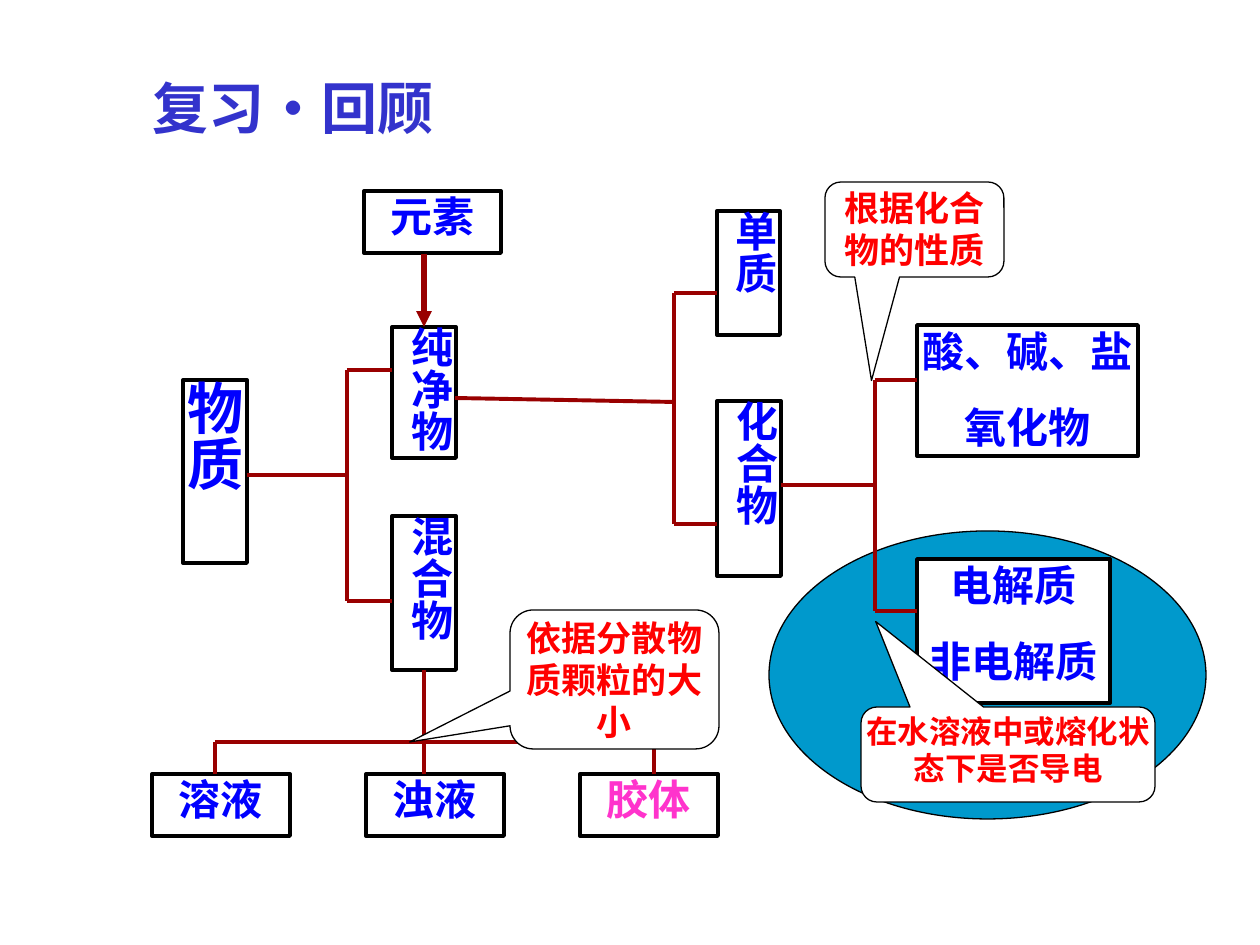
import lxml.etree
import pptx
import pptx.dml.color
import pptx.enum.shapes
import pptx.enum.text
import pptx.oxml.ns
import pptx.util
from dataclasses import dataclass

EMU_PER_PX = 914400 / 126
TRUNK_HEIGHT = 231
SHAPES = pptx.enum.shapes.MSO_SHAPE


@dataclass(frozen=True)
class Theme:
    heading: str = "3333CC"
    text: str = "0000FF"
    highlight: str = "FF33CC"
    note: str = "FF0000"
    border: str = "000000"
    paper: str = "FFFFFF"
    ellipse: str = "0099CC"
    branch: str = "990000"
    font: str = "Times New Roman"
    heading_font: str = "Noto Sans CJK SC"
    large: int = 32
    normal: int = 24
    note_size: int = 20
    small: int = 18
    thick: float = 2.25
    thin: float = 0.75
    arrow: float = 3


THEME = Theme()


def px(length):
    return pptx.util.Emu(round(length * EMU_PER_PX))


def color(value):
    return pptx.dml.color.RGBColor.from_string(value)


def write(shape, text, size=THEME.normal, fill=THEME.text, font=THEME.font,
          centered=True, wrap=True, margins=(0, 0), vertical=False):
    """Fill a shape with bold text, one paragraph for each line."""
    frame = shape.text_frame
    frame.word_wrap = wrap
    frame.vertical_anchor = pptx.enum.text.MSO_ANCHOR.TOP
    frame.margin_left = frame.margin_right = px(margins[0])
    frame.margin_top = frame.margin_bottom = px(margins[1])
    if vertical:
        frame._txBody.bodyPr.set("vert", "eaVert")
    align = pptx.enum.text.PP_ALIGN
    for index, line in enumerate(text.split("\n")):
        paragraph = frame.paragraphs[0] if index == 0 else frame.add_paragraph()
        paragraph.alignment = align.CENTER if centered else align.LEFT
        if index:
            paragraph.space_before = pptx.util.Pt(15)
        run = paragraph.add_run()
        run.text = line
        run.font.name = font
        run.font.size = pptx.util.Pt(size)
        run.font.bold = True
        run.font.color.rgb = color(fill)


def add_shape(slide, kind, box, fill=THEME.paper, line_width=THEME.thin):
    shape = slide.shapes.add_shape(kind, *map(px, box))
    shape.shadow.inherit = False
    shape.fill.solid()
    shape.fill.fore_color.rgb = color(fill)
    shape.line.color.rgb = color(THEME.border)
    shape.line.width = pptx.util.Pt(line_width)
    return shape


def add_node(slide, box, text, **text_format):
    node = add_shape(slide, SHAPES.RECTANGLE, box, line_width=THEME.thick)
    write(node, text, **text_format)
    return node


def add_callout(slide, box, text, tip, size=THEME.note_size):
    """Add a speech bubble; tip is the offset from its centre, in its own size."""
    callout = add_shape(slide, SHAPES.ROUNDED_RECTANGULAR_CALLOUT, box)
    callout.adjustments[0], callout.adjustments[1] = tip
    write(callout, text, size=size, fill=THEME.note)


def add_line(slide, start, end, width=THEME.thick):
    line = slide.shapes.add_connector(
        pptx.enum.shapes.MSO_CONNECTOR.STRAIGHT, *map(px, (*start, *end)))
    line.line.color.rgb = color(THEME.branch)
    line.line.width = pptx.util.Pt(width)
    lxml.etree.SubElement(line._element.spPr, pptx.oxml.ns.qn("a:effectLst"))
    return line


def add_fork(slide, stem, trunk, twig_end):
    """Draw a stem from its start to a trunk that splits into two twigs."""
    left, top = trunk
    bottom = top + TRUNK_HEIGHT
    add_line(slide, *stem)
    add_line(slide, (left, top), (left, bottom))
    for height in (top, bottom):
        add_line(slide, (left, height), (twig_end, height))


def draw_title(slide, box):
    title = slide.shapes.add_textbox(*map(px, box))
    write(title, "复习·回顾", size=THEME.large, fill=THEME.heading,
          font=THEME.heading_font, centered=False, wrap=False, margins=(13, 6))


def draw_matter(slide, left, top):
    """Draw matter with its two classes and return the node of mixtures."""
    add_node(slide, (left, top + 189, 64, 183), "物质",
             size=THEME.large, vertical=True)
    pure = add_node(slide, (left + 209, top + 136, 64, 131), "纯净物", vertical=True)
    mixture = add_node(slide, (left + 209, top + 325, 64, 154), "混合物", vertical=True)
    add_node(slide, (left + 181, top, 137, 62), "元素")
    add_fork(slide, ((left + 64, top + 284), (left + 164, top + 284)),
             (left + 164, top + 179), left + 209)
    arrow = add_line(slide, (left + 241, top + 63), (left + 241, top + 136), THEME.arrow)
    arrow.end_connect(pure, 0)
    tail = lxml.etree.SubElement(arrow.line._get_or_add_ln(), pptx.oxml.ns.qn("a:tailEnd"))
    tail.set("type", "triangle")
    return mixture


def draw_pure_substances(slide, left, top):
    add_node(slide, (left + 262, top, 63, 124), "单质", vertical=True)
    add_node(slide, (left + 262, top + 190, 64, 175), "化合物", vertical=True)
    add_fork(slide, ((left, top + 187), (left + 219, top + 191)),
             (left + 219, top + 82), left + 262)


def draw_compounds(slide, left, top):
    add_shape(slide, SHAPES.OVAL, (left, top + 349, 437, 288), fill=THEME.ellipse)
    add_node(slide, (left + 148, top + 143, 221, 131), "酸、碱、盐\n氧化物")
    add_node(slide, (left + 148, top + 377, 193, 144), "电解质\n非电解质")
    add_fork(slide, ((left + 12, top + 303), (left + 106, top + 303)),
             (left + 106, top + 198), left + 148)
    add_callout(slide, (left + 92, top + 525, 294, 95),
                "在水溶液中或熔化状态下是否导电", (-0.45, -1.4), size=THEME.small)
    add_callout(slide, (left + 56, top, 179, 95), "根据化合物的性质", (-0.24, 1.59))


def draw_dispersions(slide, left, top, mixture):
    rail = top + 132
    node_top = top + 164
    kinds = (("溶液", THEME.text), ("浊液", THEME.text), ("胶体", THEME.highlight))
    for index, (name, fill) in enumerate(kinds):
        add_node(slide, (left + index * 214, node_top, 138, 62), name, fill=fill)
    for drop in (left + 63, left + 502):
        add_line(slide, (drop, rail), (drop, node_top))
    trunk = add_line(slide, (left + 272, top + 61), (left + 272, node_top))
    trunk.begin_connect(mixture, 2)
    add_line(slide, (left + 63, rail), (left + 504, rail))
    add_callout(slide, (left + 358, top, 209, 139), "依据分散物质颗粒的大小", (-0.98, 0.45))


def main():
    presentation = pptx.Presentation()
    presentation.slide_width, presentation.slide_height = px(1260), px(945)
    slide = presentation.slides.add_slide(presentation.slide_layouts[6])
    draw_title(slide, (140, 67, 360, 68))
    mixture = draw_matter(slide, 183, 191)
    draw_pure_substances(slide, 455, 211)
    draw_compounds(slide, 769, 182)
    draw_dispersions(slide, 152, 610, mixture)
    presentation.save("out.pptx")


if __name__ == "__main__":
    main()
